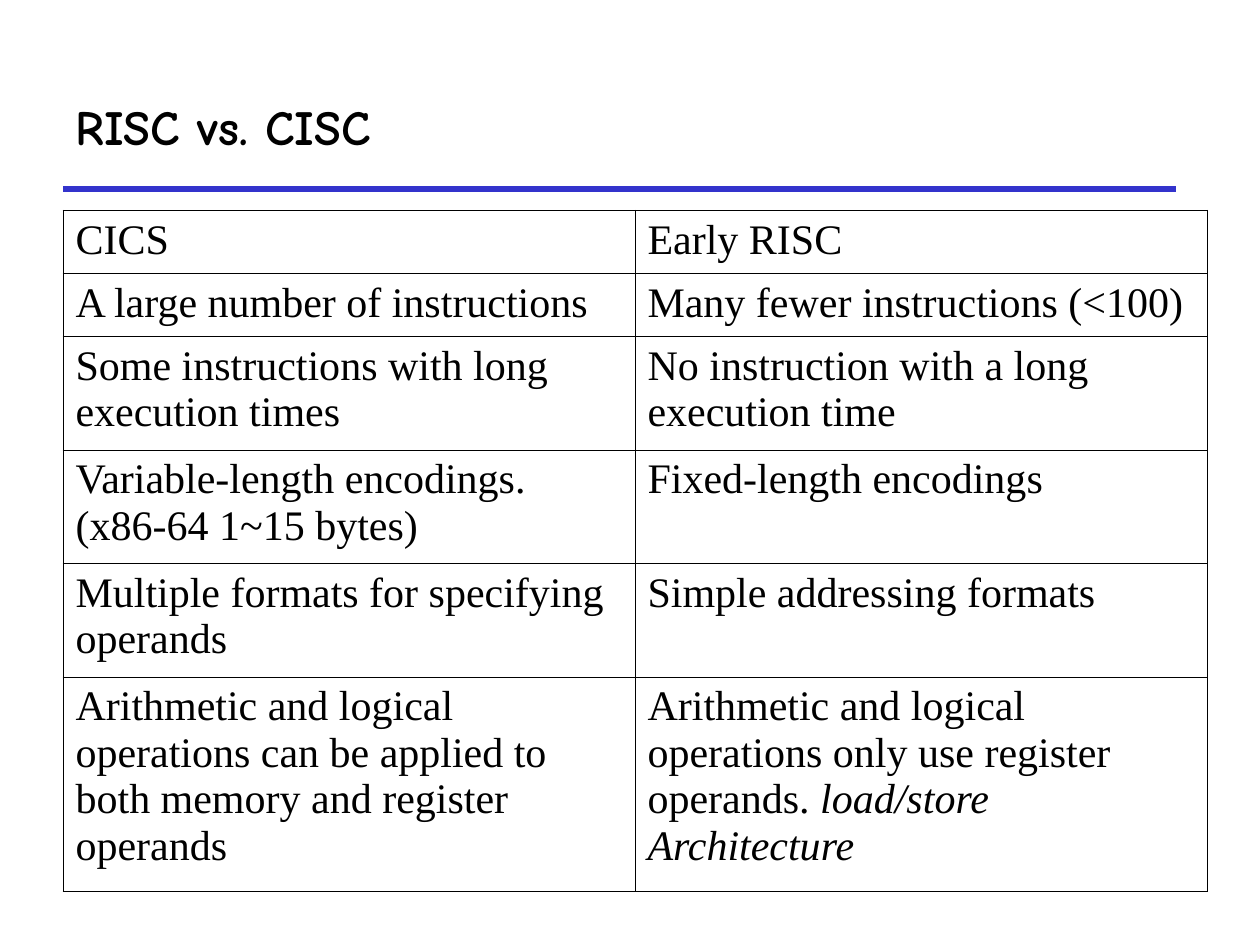
from dataclasses import dataclass

from lxml.etree import SubElement
from pptx import Presentation
from pptx.dml.color import RGBColor
from pptx.enum.shapes import MSO_CONNECTOR
from pptx.enum.text import MSO_ANCHOR, PP_ALIGN
from pptx.oxml.ns import qn
from pptx.util import Cm, Pt

COLORS = {"ink": "000000", "rule": "3333CC", "paper": "FFFFFF"}
TITLE_FONT = "Comic Neue"
TABLE_FONT = "Times New Roman"
LEFT = Cm(1.27)
CONTENT_WIDTH = Cm(22.43)
COLUMN_WIDTH = Cm(11.53)
BORDER_WIDTH = Pt(0.45)


@dataclass
class Entry:
    text: str
    emphasis: str = ""


@dataclass
class Comparison:
    cisc: Entry
    risc: Entry
    height: float


COMPARISONS = [
    Comparison(Entry("CICS"), Entry("Early RISC"), 1.27),
    Comparison(Entry("A large number of instructions"),
               Entry("Many fewer instructions (<100)"), 1.27),
    Comparison(Entry("Some instructions with long execution times"),
               Entry("No instruction with a long execution time"), 2.29),
    Comparison(Entry("Variable-length encodings. (x86-64 1~15 bytes)"),
               Entry("Fixed-length encodings"), 2.29),
    Comparison(Entry("Multiple formats for specifying operands"),
               Entry("Simple addressing formats"), 2.29),
    Comparison(Entry("Arithmetic and logical operations can be applied to "
                     "both memory and register operands"),
               Entry("Arithmetic and logical operations only use register operands. ",
                     "load/store Architecture"), 4.32),
]


def color(name: str) -> RGBColor:
    return RGBColor.from_string(COLORS[name])


def style_font(font, name: str, size: int, bold: bool = False) -> None:
    font.name = name
    font.size = Pt(size)
    font.bold = bold
    font.color.rgb = color("ink")


def add_title(page, text: str) -> None:
    title = page.shapes.title
    title.left, title.top, title.width, title.height = LEFT, Cm(1.27), CONTENT_WIDTH, Cm(2.54)
    frame = title.text_frame
    frame.text = text
    frame.vertical_anchor = MSO_ANCHOR.MIDDLE
    para = frame.paragraphs[0]
    para.alignment = PP_ALIGN.LEFT
    style_font(para.font, TITLE_FONT, 28, bold=True)


def add_rule(page) -> None:
    top = Cm(3.81)
    rule = page.shapes.add_connector(
        MSO_CONNECTOR.STRAIGHT, LEFT, top, LEFT + CONTENT_WIDTH, top)
    rule.line.color.rgb = color("rule")
    rule.line.width = Pt(3)
    SubElement(rule._element.spPr, qn("a:effectLst"))


def add_borders(cell) -> None:
    """Line all four sides; borders must come before the fill in the cell properties."""
    properties = cell._tc.get_or_add_tcPr()
    for side in ("lnL", "lnR", "lnT", "lnB"):
        border = SubElement(properties, qn(f"a:{side}"), w=str(BORDER_WIDTH))
        fill = SubElement(border, qn("a:solidFill"))
        SubElement(fill, qn("a:srgbClr"), val=COLORS["ink"])


def fill_cell(cell, entry: Entry) -> None:
    add_borders(cell)
    cell.fill.solid()
    cell.fill.fore_color.rgb = color("paper")
    para = cell.text_frame.paragraphs[0]
    para.add_run().text = entry.text
    if entry.emphasis:
        span = para.add_run()
        span.text = entry.emphasis
        span.font.italic = True
    style_font(para.font, TABLE_FONT, 24)


def add_comparison_table(page, comparisons: list[Comparison]) -> None:
    height = Cm(sum(comparison.height for comparison in comparisons))
    table = page.shapes.add_table(
        len(comparisons), 2, LEFT, Cm(4.24), 2 * COLUMN_WIDTH, height).table
    table.first_row = table.horz_banding = False
    for column in table.columns:
        column.width = COLUMN_WIDTH
    for row, comparison in zip(table.rows, comparisons):
        row.height = Cm(comparison.height)
        for cell, entry in zip(row.cells, (comparison.cisc, comparison.risc)):
            fill_cell(cell, entry)


def main() -> None:
    deck = Presentation()
    deck.slide_width, deck.slide_height = Cm(25.4), Cm(19.05)
    page = deck.slides.add_slide(deck.slide_layouts[5])
    add_title(page, "RISC vs. CISC")
    add_rule(page)
    add_comparison_table(page, COMPARISONS)
    deck.save("out.pptx")


if __name__ == "__main__":
    main()
